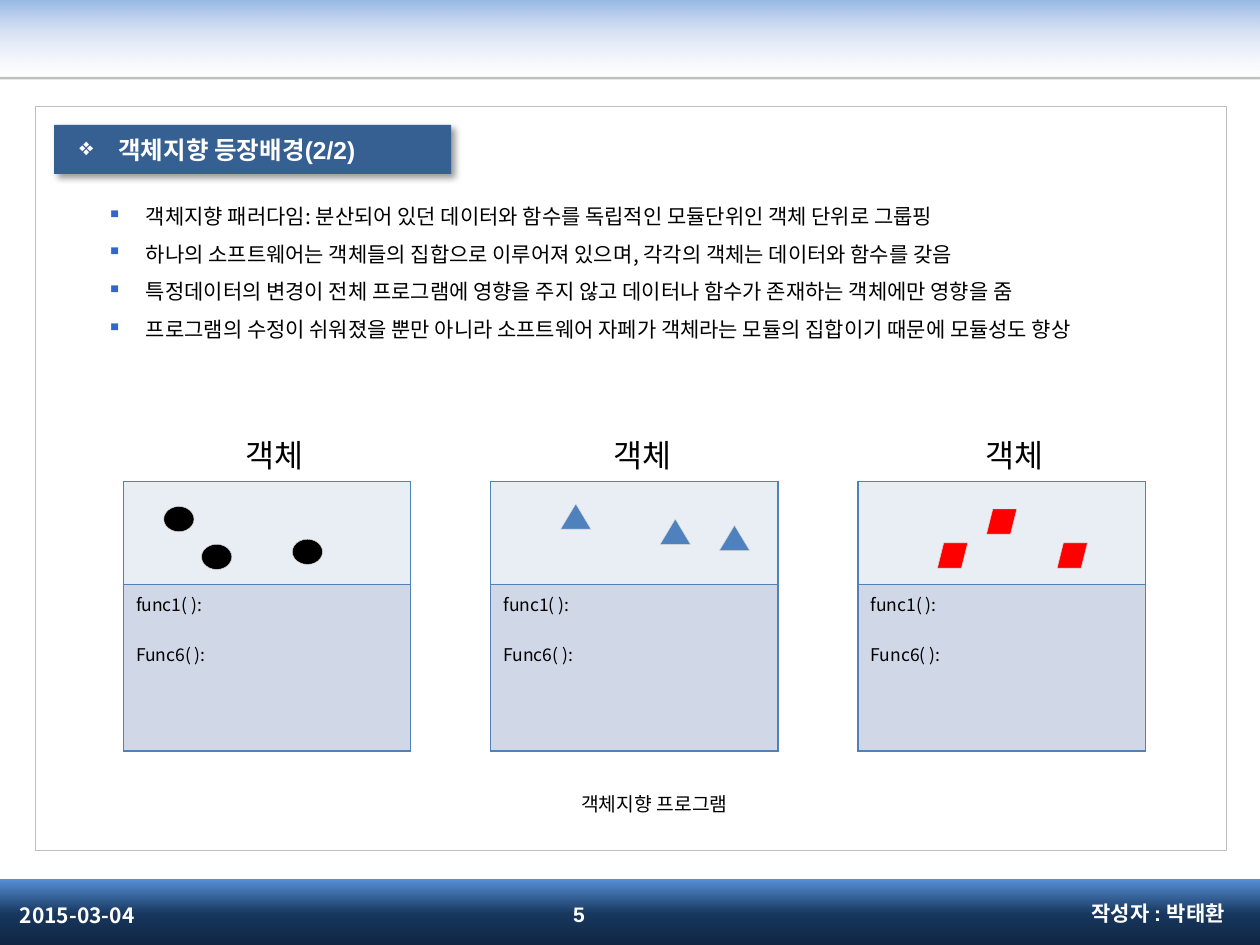
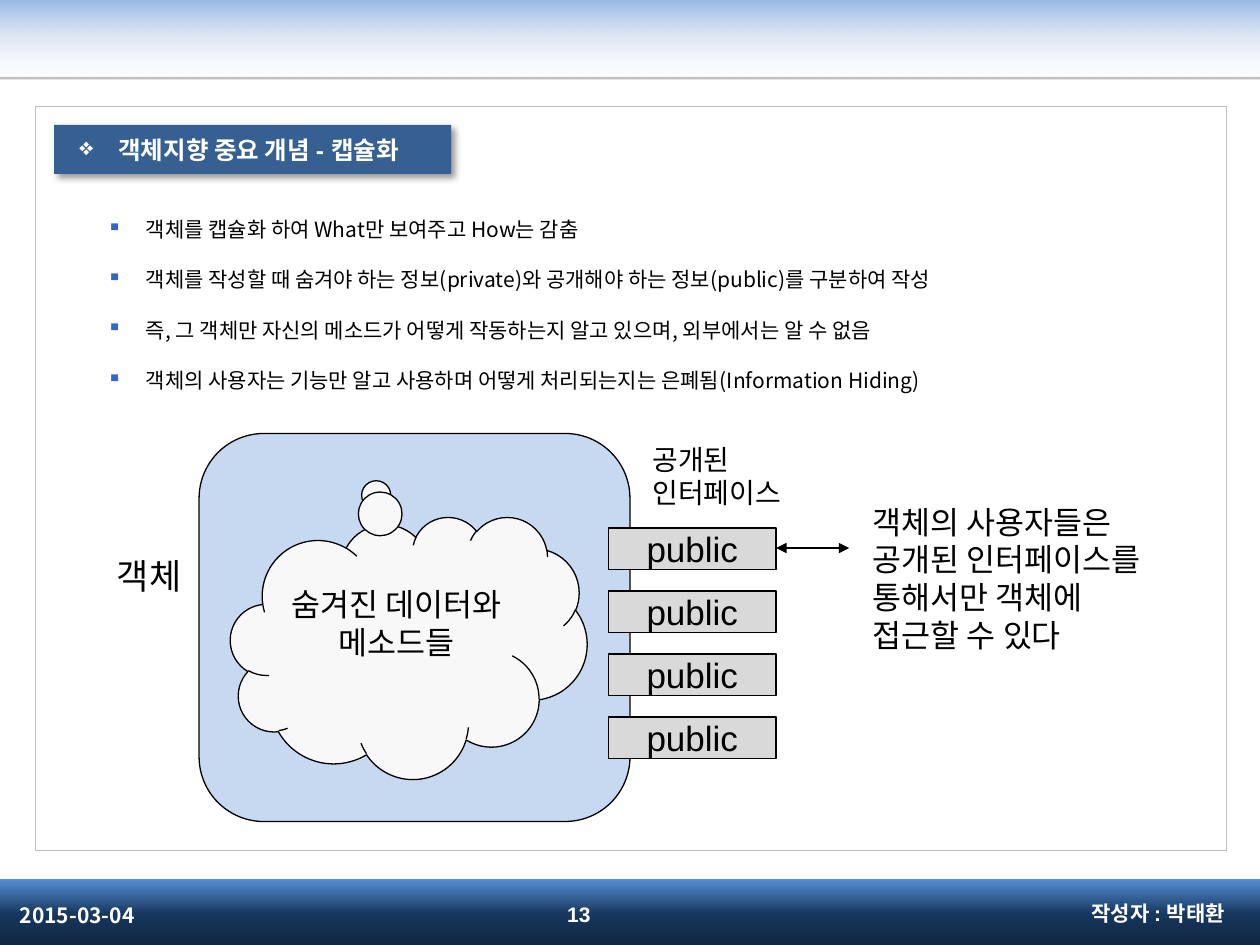
from typing import NamedTuple

from lxml import etree
from pptx import Presentation
from pptx.dml.color import RGBColor
from pptx.enum.shapes import MSO_CONNECTOR, MSO_SHAPE as Preset
from pptx.enum.text import MSO_ANCHOR as Anchor, PP_ALIGN as Align
from pptx.oxml import parse_xml
from pptx.oxml.ns import nsdecls, qn
from pptx.util import Inches, Pt

ARIAL, NOTO = "Arial", "Noto Sans CJK KR"
BLACK, WHITE, GRAY = "000000", "FFFFFF", "BFBFBF"
TITLE_BLUE, BULLET_BLUE, OBJECT_BLUE = "376092", "3366CC", "4F81BD"
DATA_FILL, METHOD_FILL, MARKER_LINE = "E9EDF4", "D0D8E8", "D9D9D9"
CAPSULE_FILL, CLOUD_FILL, PUBLIC_FILL = "C6D9F1", "F8F8F8", "D9D9D9"
BULLET_INDENT = 0.31


class Box(NamedTuple):
    left: float
    top: float
    width: float
    height: float

    def lengths(self) -> list:
        return [Inches(value) for value in self]


class Style(NamedTuple):
    size: float
    font: str = ARIAL
    color: str = BLACK
    bold: bool = False
    align: Align = Align.LEFT
    pitch: float = 0  # line distance in points, 0 for single spacing


class Stop(NamedTuple):
    position: int
    color: str
    opacity: int = 100


class Band(NamedTuple):
    box: Box
    stops: list[Stop]


class ObjectCard(NamedTuple):
    label_left: float
    marker: Preset
    color: str
    marker_spots: list[tuple[float, float]]


BANDS = [
    Band(Box(-0.04, -0.03, 10.04, 0.66),
         [Stop(0, "8EB4E3"), Stop(50, "C2D1ED", 50), Stop(100, "E1E8F5", 0)]),
    Band(Box(-0.04, 6.98, 10.04, 0.55),
         [Stop(0, "558ED5"), Stop(50, "17375E"), Stop(100, "0F243E")]),
]

TITLE = Style(14, color=WHITE, bold=True)
FOOTER = Style(12, color=WHITE, bold=True)
OBJECT_LABEL = Style(18, NOTO, align=Align.CENTER, pitch=21.6)
METHOD = Style(10, NOTO, pitch=14.4)

CARDS = [
    ObjectCard(1.38, Preset.OVAL, BLACK, [(1.3, 4.02), (1.6, 4.32), (2.32, 4.28)]),
    ObjectCard(4.3, Preset.ISOSCELES_TRIANGLE, OBJECT_BLUE,
               [(4.45, 4), (5.24, 4.12), (5.71, 4.17)]),
    ObjectCard(7.25, Preset.PARALLELOGRAM, "FF0000",
               [(7.83, 4.04), (7.44, 4.31), (8.39, 4.31)]),
]

BACKGROUND_POINTS = [
    "객체지향 패러다임: 분산되어 있던 데이터와 함수를 독립적인 모듈단위인 객체 단위로 그룹핑",
    "하나의 소프트웨어는 객체들의 집합으로 이루어져 있으며, 각각의 객체는 데이터와 함수를 갖음",
    "특정데이터의 변경이 전체 프로그램에 영향을 주지 않고 데이터나 함수가 존재하는 객체에만 영향을 줌",
    "프로그램의 수정이 쉬워졌을 뿐만 아니라 소프트웨어 자페가 객체라는 모듈의 집합이기 때문에 모듈성도 향상",
]
CAPSULE_POINTS = [
    "객체를 캡슐화 하여 What만 보여주고 How는 감춤",
    "객체를 작성할 때 숨겨야 하는 정보(private)와 공개해야 하는 정보(public)를 구분하여 작성",
    "즉, 그 객체만 자신의 메소드가 어떻게 작동하는지 알고 있으며, 외부에서는 알 수 없음",
    "객체의 사용자는 기능만 알고 사용하며 어떻게 처리되는지는 은폐됨(Information Hiding)",
]


def rgb(color: str) -> RGBColor:
    return RGBColor.from_string(color)


def add_bullet(para, char: str, color: str) -> None:
    properties = para._p.get_or_add_pPr()
    properties.set("marL", str(Inches(BULLET_INDENT)))
    properties.set("indent", str(-Inches(BULLET_INDENT)))
    bullet_color = etree.SubElement(properties, qn("a:buClr"))
    etree.SubElement(bullet_color, qn("a:srgbClr"), val=color)
    etree.SubElement(properties, qn("a:buChar"), char=char)


def write(frame, lines: list[str], style: Style,
          bullet: str = "", bullet_color: str = BLACK) -> None:
    for index, line in enumerate(lines):
        para = frame.add_paragraph() if index else frame.paragraphs[0]
        para.text = line
        para.alignment = style.align
        if style.pitch:
            para.line_spacing = Pt(style.pitch)
        if bullet:
            add_bullet(para, bullet, bullet_color)
        para.font.name = style.font
        para.font.size = Pt(style.size)
        para.font.bold = style.bold
        para.font.color.rgb = rgb(style.color)


def add_text(page, box: Box, lines: list[str], style: Style,
             anchor: Anchor = Anchor.TOP, wrap: bool = True):
    frame = page.shapes.add_textbox(*box.lengths()).text_frame
    frame.word_wrap = wrap
    frame.vertical_anchor = anchor
    write(frame, lines, style)


def add_shape(page, preset: Preset, box: Box, fill: str = "",
              line: str = "", line_width: float = 0.25):
    shape = page.shapes.add_shape(preset, *box.lengths())
    shape.shadow.inherit = False
    if fill:
        shape.fill.solid()
        shape.fill.fore_color.rgb = rgb(fill)
    else:
        shape.fill.background()
    if line:
        shape.line.color.rgb = rgb(line)
        shape.line.width = Pt(line_width)
    else:
        shape.line.fill.background()
    return shape


def add_band(page, band: Band) -> None:
    """Draw a bar with a vertical gradient whose stops may be transparent."""
    properties = add_shape(page, Preset.RECTANGLE, band.box).element.spPr
    stops = "".join(
        f'<a:gs pos="{stop.position * 1000}"><a:srgbClr val="{stop.color}">'
        f'<a:alpha val="{stop.opacity * 1000}"/></a:srgbClr></a:gs>'
        for stop in band.stops)
    gradient = parse_xml(
        f'<a:gradFill {nsdecls("a")} rotWithShape="1"><a:gsLst>{stops}</a:gsLst>'
        '<a:lin ang="5400000" scaled="0"/></a:gradFill>')
    properties.replace(properties.find(qn("a:noFill")), gradient)


def add_title(page, title: str) -> None:
    bar = add_shape(page, Preset.RECTANGLE, Box(0.43, 0.99, 3.15, 0.39), TITLE_BLUE)
    effects = bar.element.spPr.find(qn("a:effectLst"))
    effects.append(parse_xml(
        f'<a:outerShdw {nsdecls("a")} blurRad="{Pt(4)}" dist="{Pt(3)}" dir="2700000" '
        f'algn="tl" rotWithShape="0"><a:srgbClr val="{BLACK}"><a:alpha val="40000"/>'
        '</a:srgbClr></a:outerShdw>'))
    bar.text_frame.margin_left = Inches(0.2)
    bar.text_frame.word_wrap = True
    write(bar.text_frame, [title], TITLE, "❖", WHITE)


def add_page(deck, title: str, number: int, points: list[str], pitch: float):
    """Add a page with the shared bands, frame, title, bullet list and footer."""
    page = deck.slides.add_slide(deck.slide_layouts[6])
    for band in BANDS:
        add_band(page, band)
    add_shape(page, Preset.RECTANGLE, Box(0, 0.61, 10, 0.02), GRAY)
    add_shape(page, Preset.RECTANGLE, Box(0.28, 0.84, 9.45, 5.91), line=GRAY)
    add_title(page, title)

    frame = page.shapes.add_textbox(*Box(0.75, 1.47, 8.9, 1.7).lengths()).text_frame
    frame.word_wrap = True
    write(frame, points, Style(12, NOTO, pitch=pitch), "▪", BULLET_BLUE)

    add_text(page, Box(6.65, 7.05, 3.17, 0.4), ["작성자 : 박태환"],
             FOOTER._replace(align=Align.RIGHT), Anchor.MIDDLE)
    add_text(page, Box(0.06, 7.06, 2.33, 0.4), ["2015-03-04"],
             FOOTER._replace(font=NOTO, pitch=14.4), Anchor.MIDDLE)
    add_text(page, Box(3.43, 7.06, 2.33, 0.39), [str(number)],
             FOOTER._replace(align=Align.CENTER), Anchor.MIDDLE)
    return page


def style_cell(cell, fill: str) -> None:
    properties = cell._tc.get_or_add_tcPr()
    for side in ("lnL", "lnR", "lnT", "lnB"):
        border = etree.SubElement(properties, qn(f"a:{side}"), w=str(Pt(1)))
        line_fill = etree.SubElement(border, qn("a:solidFill"))
        etree.SubElement(line_fill, qn("a:srgbClr"), val=OBJECT_BLUE)
    cell.fill.solid()
    cell.fill.fore_color.rgb = rgb(fill)


def add_object_card(page, card: ObjectCard, left: float) -> None:
    box = Box(left, 3.82, 2.28, 2.14)
    table = page.shapes.add_table(2, 1, *box.lengths()).table
    table.first_row = table.horz_banding = False
    for row, (height, fill) in enumerate([(0.82, DATA_FILL), (1.32, METHOD_FILL)]):
        table.rows[row].height = Inches(height)
        style_cell(table.cell(row, 0), fill)
    methods = table.cell(1, 0).text_frame
    write(methods, ["func1( ):", "Func6( ):"], METHOD)
    methods.paragraphs[1].space_before = Pt(METHOD.pitch)

    for spot in card.marker_spots:
        add_shape(page, card.marker, Box(*spot, 0.24, 0.2), card.color, MARKER_LINE)
    add_text(page, Box(card.label_left, 3.41, 1.6, 0.4), ["객체"], OBJECT_LABEL)


def add_double_arrow(page, left: float, right: float, y: float) -> None:
    arrow = page.shapes.add_connector(
        MSO_CONNECTOR.STRAIGHT, Inches(left), Inches(y), Inches(right), Inches(y))
    arrow.line.color.rgb = rgb(BLACK)
    arrow.line.width = Pt(0.75)
    properties = arrow.element.spPr
    for end in ("headEnd", "tailEnd"):
        etree.SubElement(properties.find(qn("a:ln")), qn(f"a:{end}"), type="triangle")
    etree.SubElement(properties, qn("a:effectLst"))


def build_background_page(deck) -> None:
    page = add_page(deck, "객체지향 등장배경(2/2)", 5, BACKGROUND_POINTS, 21.5)
    for index, card in enumerate(CARDS):
        add_object_card(page, card, 0.98 + index * 2.915)
    add_text(page, Box(3.73, 6.24, 2.93, 0.29), ["객체지향 프로그램"],
             Style(11, NOTO, align=Align.CENTER, pitch=13.2))


def build_capsule_page(deck) -> None:
    page = add_page(deck, "객체지향 중요 개념 - 캡슐화", 13, CAPSULE_POINTS, 28.8)
    capsule = add_shape(page, Preset.ROUNDED_RECTANGLE, Box(1.58, 3.44, 3.42, 3.08),
                        CAPSULE_FILL, BLACK, 0.75)
    capsule.adjustments[0] = 0.167

    cloud = add_shape(page, Preset.CLOUD_CALLOUT, Box(1.83, 4.1, 2.83, 2.08),
                      CLOUD_FILL, BLACK, 0.75)
    cloud.adjustments[0], cloud.adjustments[1] = -0.094, -0.598
    cloud.text_frame.word_wrap = False
    cloud.text_frame.margin_bottom = Inches(0.35)
    write(cloud.text_frame, ["숨겨진 데이터와", "메소드들"],
          Style(18, align=Align.CENTER))

    for index in range(4):
        public = add_shape(page, Preset.RECTANGLE,
                           Box(4.83, 4.19 + index * 0.5, 1.33, 0.33),
                           PUBLIC_FILL, BLACK, 0.75)
        public.text_frame.word_wrap = False
        write(public.text_frame, ["public"], Style(20, align=Align.CENTER))

    add_text(page, Box(5.08, 3.46, 1.31, 0.64), ["공개된", "인터페이스"],
             Style(16), wrap=False)
    add_text(page, Box(0.83, 4.35, 0.76, 0.43), ["객체"], Style(20), wrap=False)
    add_text(page, Box(6.83, 3.94, 2.58, 1.6),
             ["객체의 사용자들은", "공개된 인터페이스를", "통해서만 객체에", "접근할 수 있다"],
             Style(18))
    add_double_arrow(page, 6.16, 6.74, 4.35)


def main() -> None:
    deck = Presentation()
    deck.slide_width, deck.slide_height = Inches(10), Inches(7.5)
    build_background_page(deck)
    build_capsule_page(deck)
    deck.save("out.pptx")


if __name__ == "__main__":
    main()
